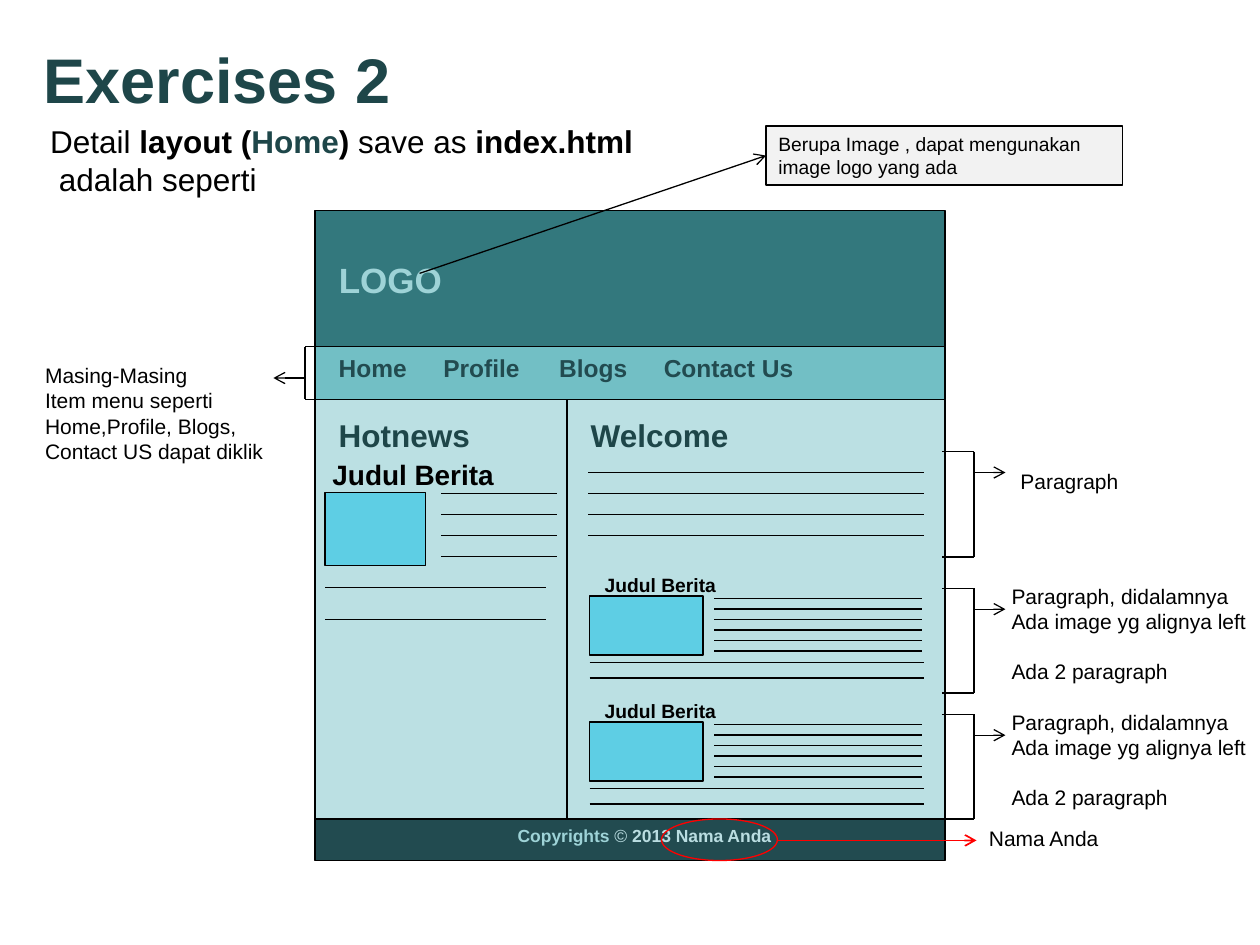
from lxml import etree
from pptx import Presentation
from pptx.dml.color import RGBColor
from pptx.enum.shapes import MSO_CONNECTOR, MSO_SHAPE
from pptx.enum.text import MSO_ANCHOR, MSO_AUTO_SIZE, PP_ALIGN
from pptx.oxml.ns import qn
from pptx.util import Inches, Pt

RECTANGLE = MSO_SHAPE.RECTANGLE
OVAL = MSO_SHAPE.OVAL
STRAIGHT = MSO_CONNECTOR.STRAIGHT
LEFT = PP_ALIGN.LEFT
TOP = MSO_ANCHOR.TOP
MIDDLE = MSO_ANCHOR.MIDDLE
FIT_SHAPE = MSO_AUTO_SIZE.SHAPE_TO_FIT_TEXT
FIXED_SIZE = MSO_AUTO_SIZE.NONE
LEFT_SIDE = 1

FONT = "Arial"
BLACK = "000000"
RED = "FF0000"
HEADING = "1E4649"
DARK_TEAL = "224B50"
HEADER_TEAL = "33787D"
MENU_TEAL = "72BFC5"
PALE_TEAL = "BBE0E3"
LOGO_TEAL = "9ED3D7"
COPYRIGHT_TEAL = "BADDE1"
IMAGE_BLUE = "5ECEE4"
NOTE_GREY = "F2F2F2"


def color(hex_string):
    return RGBColor.from_string(hex_string)


def write(shape, paragraphs, size=12, hex_color=BLACK, bold=False,
          wrap=False, anchor=TOP, gaps=None):
    """Fill a shape with paragraphs: strings or lists of (text, color, bold).

    gaps maps a paragraph's index to the points of space before it.
    """
    frame = shape.text_frame
    frame.word_wrap = wrap
    frame.auto_size = FIXED_SIZE if wrap else FIT_SHAPE
    frame.vertical_anchor = anchor
    for index, content in enumerate(paragraphs):
        paragraph = frame.paragraphs[0] if index == 0 else frame.add_paragraph()
        paragraph.alignment = LEFT
        if gaps and index in gaps:
            paragraph.space_before = Pt(gaps[index])
        runs = [(content, hex_color, bold)] if isinstance(content, str) else content
        for text, run_color, run_bold in runs:
            run = paragraph.add_run()
            run.text = text
            run.font.name = FONT
            run.font.size = Pt(size)
            run.font.bold = run_bold
            run.font.color.rgb = color(run_color)


def add_text(shapes, left, top, width, height, *paragraphs, **text_format):
    box = shapes.add_textbox(Inches(left), Inches(top), Inches(width), Inches(height))
    write(box, paragraphs, **text_format)


def add_box(shapes, left, top, width, height, fill=None, line=BLACK, kind=RECTANGLE):
    shape = shapes.add_shape(kind, Inches(left), Inches(top), Inches(width), Inches(height))
    shape.shadow.inherit = False
    if fill:
        shape.fill.solid()
        shape.fill.fore_color.rgb = color(fill)
    else:
        shape.fill.background()
    shape.line.color.rgb = color(line)
    shape.line.width = Pt(0.75)
    return shape


def add_line(shapes, x1, y1, x2, y2, line=BLACK, width=0.75, arrow=False):
    connector = shapes.add_connector(STRAIGHT, Inches(x1), Inches(y1), Inches(x2), Inches(y2))
    connector.line.color.rgb = color(line)
    connector.line.width = Pt(width)
    if arrow:
        tail = etree.SubElement(connector.line._get_or_add_ln(), qn("a:tailEnd"))
        tail.set("type", "arrow")
    etree.SubElement(connector._element.spPr, qn("a:effectLst"))
    return connector


def add_text_lines(shapes, left, right, top, step, count):
    """Draw evenly spaced rules that stand for lines of body text."""
    for index in range(count):
        y = top + index * step
        add_line(shapes, left, y, right, y)


def add_bracket(shapes, edge, spine, top, bottom, arrow_y, arrow_end):
    add_line(shapes, edge, top, spine, top)
    add_line(shapes, spine, top, spine, bottom)
    add_line(shapes, edge, bottom, spine, bottom)
    add_line(shapes, spine, arrow_y, arrow_end, arrow_y, arrow=True)


def add_page_frame(shapes):
    add_box(shapes, 2.5, 1.67, 5, 1.08, HEADER_TEAL)
    add_box(shapes, 2.5, 2.75, 5, 0.42, MENU_TEAL)
    add_box(shapes, 2.5, 3.17, 2, 3.33, PALE_TEAL)
    add_box(shapes, 4.5, 3.17, 3, 3.33, PALE_TEAL)
    add_box(shapes, 2.5, 6.5, 5, 0.33, DARK_TEAL)
    add_text(shapes, 2.59, 2, 1.02, 0.44, "LOGO", size=20, hex_color=LOGO_TEAL, bold=True)
    menu = [("Home", 2.59, 0.74), ("Profile", 3.42, 0.82),
            ("Blogs", 4.34, 0.74), ("Contact Us", 5.17, 1.23)]
    for label, left, width in menu:
        add_text(shapes, left, 2.75, width, 0.34, label,
                 size=14, hex_color=DARK_TEAL, bold=True)
    add_text(shapes, 4.01, 6.5, 2.22, 0.44,
             [("Copyrights ", LOGO_TEAL, True), ("© ", COPYRIGHT_TEAL, False),
              ("2013 Nama Anda", COPYRIGHT_TEAL, True)], size=10)


def add_hotnews(shapes):
    add_box(shapes, 2.58, 3.91, 0.8, 0.58, IMAGE_BLUE)
    add_text(shapes, 2.59, 3.25, 1.24, 0.4, "Hotnews", size=18, hex_color=HEADING, bold=True)
    add_text_lines(shapes, 3.5, 4.42, 3.915, 1 / 6, 4)
    add_text_lines(shapes, 2.58, 4.33, 4.665, 0.25, 2)
    add_text(shapes, 2.54, 3.58, 1.49, 0.37, "Judul Berita", size=16, bold=True)


def add_article(shapes, top):
    add_box(shapes, 4.68, top + 0.23, 0.9, 0.47, IMAGE_BLUE)
    add_text(shapes, 4.7, top, 1.1, 0.29, "Judul Berita", size=11, bold=True)
    add_text_lines(shapes, 5.67, 7.32, top + 0.25, 1 / 12, 6)
    add_text_lines(shapes, 4.68, 7.33, top + 0.76, 0.12, 2)


def add_article_note(shapes, top):
    add_bracket(shapes, 7.48, 7.73, top + 0.17, top + 1, top + 0.335, 7.98)
    add_text(shapes, 7.93, top + 0.08, 2.06, 0.9, "Paragraph, didalamnya",
             "Ada image yg alignya left", "Ada 2 paragraph", gaps={2: 14.4})


def add_notes(shapes):
    logo_note = add_box(shapes, 6.08, 1, 2.83, 0.47, NOTE_GREY)
    write(logo_note, ["Berupa Image , dapat mengunakan", "image logo yang ada"],
          size=11, wrap=True)
    logo_arrow = add_line(shapes, 3.33, 2.17, 6.08, 1.24, arrow=True)
    logo_arrow.end_connect(logo_note, LEFT_SIDE)

    add_bracket(shapes, 2.5, 2.42, 2.75, 3.17, 3, 2.17)
    add_text(shapes, 0.26, 2.83, 1.93, 0.9, "Masing-Masing", "Item menu seperti",
             "Home,Profile, Blogs,", "Contact US dapat diklik")

    add_bracket(shapes, 7.48, 7.73, 3.585, 4.42, 3.75, 7.98)
    add_text(shapes, 8, 3.67, 0.98, 0.3, "Paragraph")

    add_box(shapes, 5.25, 6.5, 0.92, 0.33, line=RED, kind=OVAL)
    add_line(shapes, 6.17, 6.67, 7.75, 6.67, line=RED, width=1, arrow=True)
    add_text(shapes, 7.75, 6.5, 1.08, 0.3, "Nama Anda")


def main():
    presentation = Presentation()
    presentation.slide_width = Inches(10)
    presentation.slide_height = Inches(7.5)
    slide = presentation.slides.add_slide(presentation.slide_layouts[6])
    shapes = slide.shapes

    add_text(shapes, 0.25, 0, 9, 1.25, "Exercises 2", size=36,
             hex_color=HEADING, bold=True, wrap=True, anchor=MIDDLE)
    add_text(shapes, 0.3, 0.92, 4.84, 0.7,
             [("Detail ", BLACK, False), ("layout (", BLACK, True), ("Home", HEADING, True),
              (") ", BLACK, True), ("save as", BLACK, False), (" index.html", BLACK, True)],
             " adalah seperti", size=18)

    add_page_frame(shapes)
    add_hotnews(shapes.add_group_shape().shapes)
    add_text(shapes, 4.59, 3.25, 1.3, 0.4, "Welcome", size=18, hex_color=HEADING, bold=True)
    add_text_lines(shapes, 4.67, 7.33, 3.75, 1 / 6, 4)
    for top in (4.5, 5.5):
        add_article(shapes.add_group_shape().shapes, top)
        add_article_note(shapes, top)
    add_notes(shapes)

    presentation.save("out.pptx")


if __name__ == "__main__":
    main()
